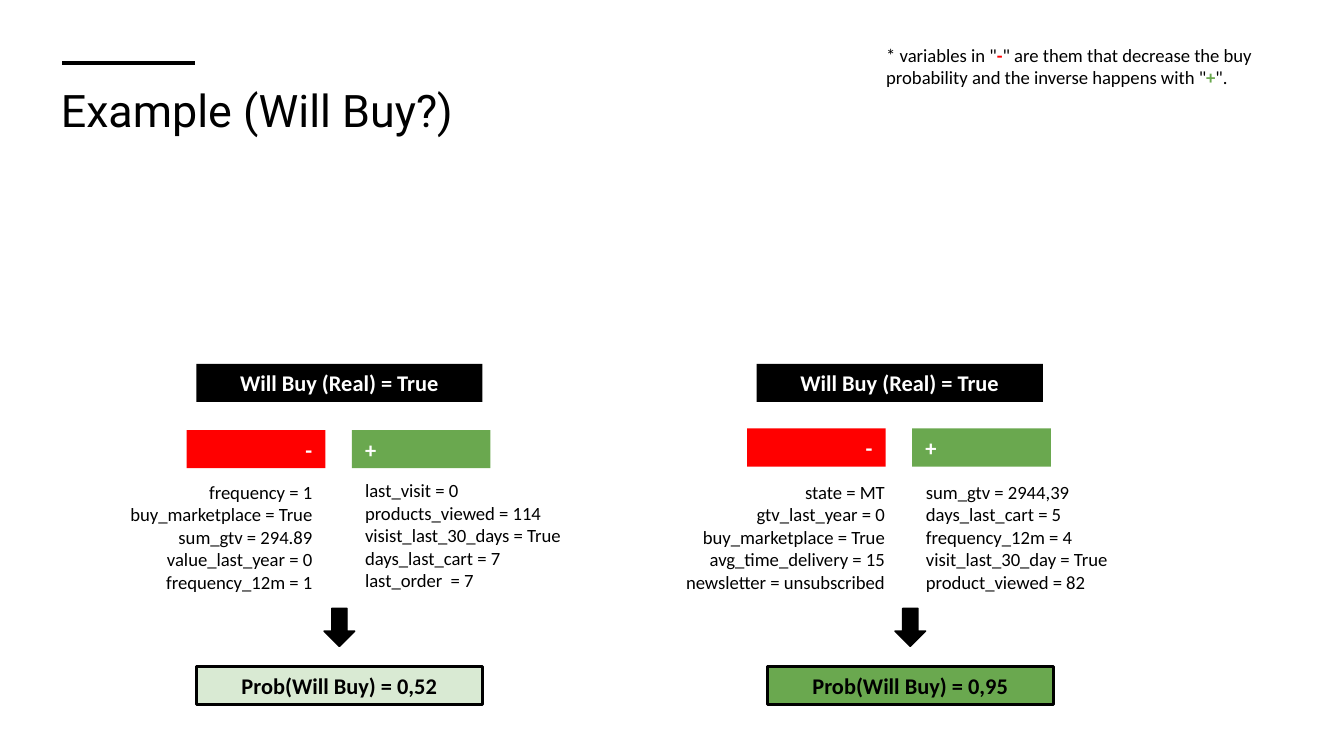
import lxml.etree
import pptx
import pptx.dml.color
import pptx.enum.shapes
import pptx.enum.text
import pptx.oxml.ns
import pptx.util
from dataclasses import dataclass

Cm = pptx.util.Cm
RGB = pptx.dml.color.RGBColor.from_string
SHAPE = pptx.enum.shapes.MSO_SHAPE
ALIGN = pptx.enum.text.PP_ALIGN
ANCHOR = pptx.enum.text.MSO_ANCHOR


@dataclass(frozen=True)
class Theme:
    black: str = "000000"
    white: str = "FFFFFF"
    red: str = "FF0000"
    green: str = "6AA84F"
    pale_green: str = "D9EAD3"
    heading: str = "Roboto"
    body: str = "Calibri"
    title: int = 24
    label: int = 12
    small: int = 10


theme = Theme()


def write(sp, lines, size=theme.label, font=theme.body, color=theme.black,
          bold=False, align=ALIGN.LEFT, anchor=ANCHOR.MIDDLE):
    """Each line is a string or a list of (text, accent colour or None) runs."""
    tf = sp.text_frame
    tf.word_wrap = True
    tf.vertical_anchor = anchor
    tf.margin_left = tf.margin_right = tf.margin_top = tf.margin_bottom = Cm(0.25)
    for i, line in enumerate(lines):
        p = tf.paragraphs[0] if i == 0 else tf.add_paragraph()
        p.alignment = align
        for text, accent in [(line, None)] if isinstance(line, str) else line:
            r = p.add_run()
            r.text = text
            r.font.size = pptx.util.Pt(size)
            r.font.name = font
            r.font.bold = bold or accent is not None
            r.font.color.rgb = RGB(accent or color)


def add_block(s, kind, x, y, w, h, fill, line_width=None):
    sp = s.shapes.add_shape(kind, Cm(x), Cm(y), Cm(w), Cm(h))
    sp.shadow.inherit = False
    sp.fill.solid()
    sp.fill.fore_color.rgb = RGB(fill)
    if line_width is None:
        sp.line.fill.background()
    else:
        sp.line.color.rgb = RGB(theme.black)
        sp.line.width = pptx.util.Pt(line_width)
    return sp


prs = pptx.Presentation()
prs.slide_width, prs.slide_height = Cm(25.4), Cm(14.29)
s = prs.slides.add_slide(prs.slide_layouts[6])

# Title with the rule above it
rule = s.shapes.add_connector(pptx.enum.shapes.MSO_CONNECTOR.STRAIGHT,
                              Cm(1.18), Cm(1.19), Cm(3.69), Cm(1.19))
rule.line.color.rgb = RGB(theme.black)
rule.line.width = pptx.util.Pt(2.25)
lxml.etree.SubElement(rule._element.spPr, pptx.oxml.ns.qn("a:effectLst"))
title = s.shapes.add_textbox(Cm(0.9), Cm(1.4), Cm(22.38), Cm(1.35))
write(title, ["Example (Will Buy?)"], size=theme.title, font=theme.heading)

# Note on the signs
note = s.shapes.add_textbox(Cm(16.5), Cm(0.58), Cm(8.66), Cm(1.37))
write(note, [
    [('* variables in "', None), ("-", theme.red),
     ('" are them that decrease the buy', None)],
    [('probability and the inverse happens with "', None), ("+", theme.green),
     ('".', None)],
], size=theme.small, anchor=ANCHOR.TOP)

# Two examples: left edge, sign bar top, result left edge, result and its fill,
# then for each sign the list's left edge, top, width and variables
examples = [
    (3.53, 8.13, 3.71, "0,52", theme.pale_green,
     (1.91, 8.84, 4.24, ["frequency = 1", "buy_marketplace = True", "sum_gtv = 294.89",
                         "value_last_year = 0", "frequency_12m = 1"]),
     (6.65, 8.81, 4.24, ["last_visit = 0", "products_viewed = 114",
                         "visist_last_30_days = True", "days_last_cart = 7",
                         "last_order  = 7"])),
    (14.12, 8.1, 14.5, "0,95", theme.green,
     (12.4, 8.84, 4.57, ["state = MT", "gtv_last_year = 0", "buy_marketplace = True",
                         "avg_time_delivery = 15", "newsletter = unsubscribed"]),
     (17.25, 8.84, 4.98, ["sum_gtv = 2944,39", "days_last_cart = 5", "frequency_12m = 4",
                          "visit_last_30_day = True", "product_viewed = 82"])),
]
bar_h, wide, narrow, arrow_w = 0.72, 5.41, 2.62, 0.58

for left, sign_top, result_left, prob, prob_fill, minus, plus in examples:
    # Real outcome
    sp = add_block(s, SHAPE.RECTANGLE, left + 0.18, 6.88, wide, bar_h, theme.black)
    write(sp, ["Will Buy (Real) = True"], color=theme.white, bold=True, align=ALIGN.CENTER)

    # Sign bars and the variables under them
    for sign, dx, fill, align, (x, y, w, variables) in [
        ("-", 0, theme.red, ALIGN.RIGHT, minus),
        ("+", 3.12, theme.green, ALIGN.LEFT, plus),
    ]:
        sp = add_block(s, SHAPE.RECTANGLE, left + dx, sign_top, narrow, bar_h, fill)
        write(sp, [sign], color=theme.white, bold=True, align=align)
        tb = s.shapes.add_textbox(Cm(x), Cm(y), Cm(w), Cm(2.6))
        write(tb, variables, size=theme.small, align=align, anchor=ANCHOR.TOP)

    # Arrow centred above the predicted probability
    add_block(s, SHAPE.DOWN_ARROW, result_left + (wide - arrow_w) / 2, 11.5,
              arrow_w, bar_h, theme.black, line_width=0.75)
    sp = add_block(s, SHAPE.RECTANGLE, result_left, 12.6, wide, bar_h, prob_fill,
                   line_width=1.5)
    write(sp, [f"Prob(Will Buy) = {prob}"], bold=True, align=ALIGN.CENTER)

prs.save("out.pptx")
